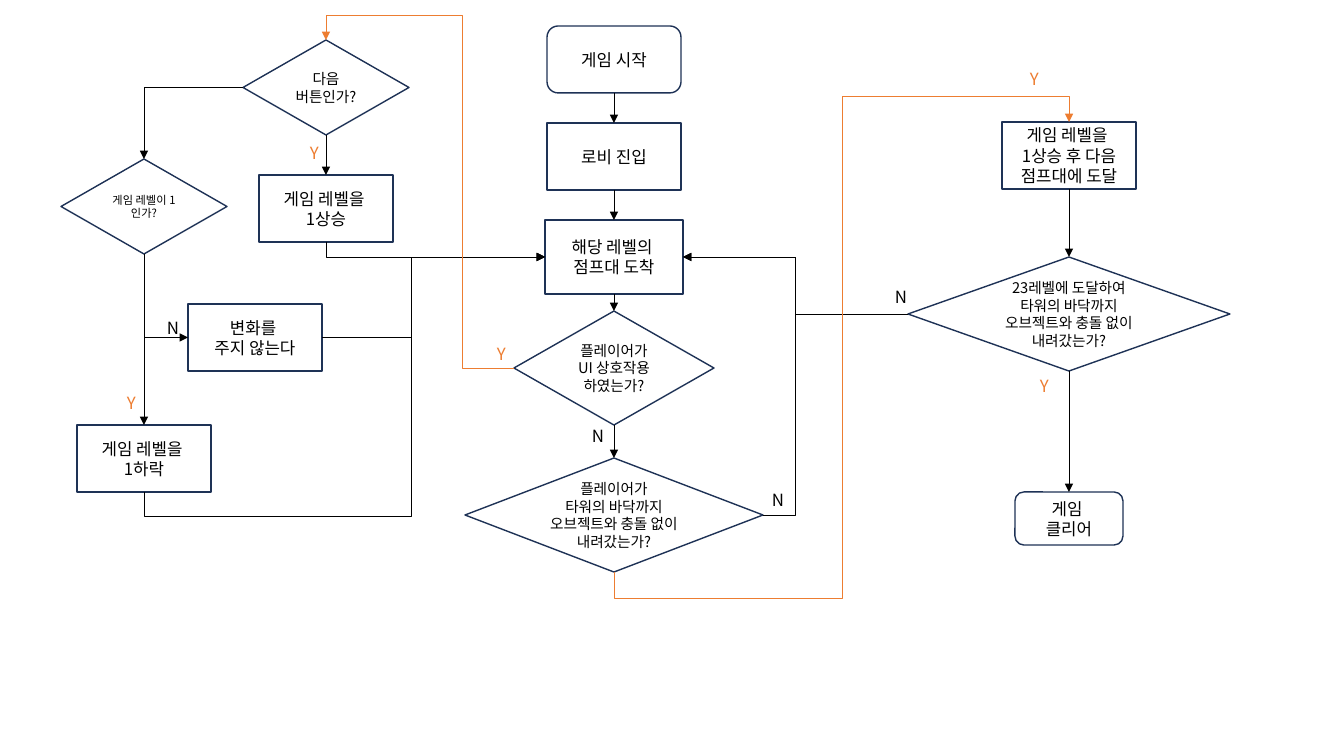
from copy import deepcopy
from dataclasses import dataclass

from lxml.etree import SubElement
from pptx import Presentation
from pptx.dml.color import RGBColor
from pptx.enum.shapes import MSO_CONNECTOR, MSO_SHAPE
from pptx.enum.text import MSO_ANCHOR, MSO_AUTO_SIZE, PP_ALIGN
from pptx.oxml.ns import qn
from pptx.util import Emu, Pt

PX = 914400 / 100.8
FONT = "Noto Sans CJK KR"
COLORS = {"fill": "FFFFFF", "outline": "1E3256", "ink": "000000", "yes": "ED7D31"}
NODE_FORMAT = {"word_wrap": True, "vertical_anchor": MSO_ANCHOR.MIDDLE}
LABEL_FORMAT = {"word_wrap": True, "auto_size": MSO_AUTO_SIZE.SHAPE_TO_FIT_TEXT}
LABEL_SIZE = (48, 30)
TOP, LEFT, BOTTOM, RIGHT = range(4)
STEP, DECISION, TERMINAL = MSO_SHAPE.RECTANGLE, MSO_SHAPE.DIAMOND, MSO_SHAPE.ROUNDED_RECTANGLE


@dataclass
class Node:
    key: str
    kind: MSO_SHAPE
    box: tuple[int, int, int, int]
    paragraphs: tuple[str, ...]
    size: float = 12


@dataclass
class Route:
    start: str
    start_site: int
    end: str
    end_site: int
    bends: tuple[int, ...] | None = None
    color: str = "ink"


@dataclass
class Label:
    text: str
    left: int
    top: int


NODES = [
    Node("start", TERMINAL, (547, 26, 134, 67), ("게임 시작",)),
    Node("lobby", STEP, (547, 123, 134, 67), ("로비 진입",)),
    Node("clear", TERMINAL, (1015, 492, 108, 53), ("게임 \n클리어",)),
    Node("arrive", STEP, (545, 220, 138, 74), ("해당 레벨의 \n점프대 도착",)),
    Node("interact", DECISION, (514, 311, 200, 114), ("플레이어가 UI 상호작용 하였는가?",), 10.5),
    Node("next", DECISION, (243, 40, 166, 95), ("다음\n버튼인가?",), 10.5),
    Node("first", DECISION, (61, 159, 166, 95), ("게임 레벨이 1인가?",), 8),
    Node("lower", STEP, (77, 425, 134, 67), ("게임 레벨을 ", "1하락")),
    Node("raise", STEP, (259, 175, 134, 67), ("게임 레벨을 ", "1상승")),
    Node("keep", STEP, (188, 304, 134, 67), ("변화를 ", "주지 않는다")),
    Node("descend", DECISION, (465, 458, 298, 114),
         ("플레이어가\n타워의 바닥까지\n오브젝트와 충돌 없이 내려갔는가?",), 10.5),
    Node("advance", STEP, (1002, 122, 134, 67), ("게임 레벨을 ", "1상승 후 다음 점프대에 도달")),
    Node("final", DECISION, (908, 257, 322, 114),
         ("23레벨에 도달하여 타워의 바닥까지 오브젝트와 충돌 없이 내려갔는가?",), 10.5),
]
ROUTES = [
    Route("start", BOTTOM, "lobby", TOP),
    Route("lobby", BOTTOM, "arrive", TOP),
    Route("arrive", BOTTOM, "interact", TOP),
    Route("interact", BOTTOM, "descend", TOP),
    Route("next", BOTTOM, "raise", TOP),
    Route("first", BOTTOM, "lower", TOP),
    Route("advance", BOTTOM, "final", TOP),
    Route("final", BOTTOM, "clear", TOP),
    Route("next", LEFT, "first", TOP, ()),
    Route("first", BOTTOM, "keep", LEFT, ()),
    Route("raise", BOTTOM, "arrive", LEFT, ()),
    Route("keep", RIGHT, "arrive", LEFT, (411,)),
    Route("lower", BOTTOM, "arrive", LEFT, (517, 411)),
    Route("final", LEFT, "arrive", RIGHT, (795,)),
    Route("descend", RIGHT, "arrive", RIGHT, (795,)),
    Route("interact", LEFT, "next", TOP, (462, 15), "yes"),
    Route("descend", BOTTOM, "advance", TOP, (598, 842, 97), "yes"),
]
LABELS = [
    Label("Y", 487, 339), Label("N", 582, 421), Label("N", 762, 485),
    Label("Y", 1020, 64), Label("N", 885, 282), Label("Y", 1030, 371),
    Label("Y", 300, 138), Label("Y", 117, 388), Label("N", 157, 313),
]


def px(*lengths: int) -> list[Emu]:
    return [Emu(round(n * PX)) for n in lengths]


def rgb(name: str) -> RGBColor:
    return RGBColor.from_string(COLORS[name])


def write(tf, paragraphs, size: float, color: str, align, formats: dict) -> None:
    for name, value in formats.items():
        setattr(tf, name, value)
    for i, text in enumerate(paragraphs):
        p = tf.add_paragraph() if i else tf.paragraphs[0]
        p.text = text
        p.alignment = align
        for r in p.runs:
            for name, value in {"size": Pt(size), "name": FONT}.items():
                setattr(r.font, name, value)
            r.font.color.rgb = rgb(color)
            SubElement(r.font._element, qn("a:ea"), typeface=FONT)
        for br in p._p.findall(qn("a:br")):
            br.append(deepcopy(p.runs[0].font._element))


def draw_node(slide, node: Node):
    s = slide.shapes.add_shape(node.kind, *px(*node.box))
    s.shadow.inherit = False
    s.fill.solid()
    s.fill.fore_color.rgb = rgb("fill")
    s.line.color.rgb = rgb("outline")
    s.line.width = Pt(1)
    write(s.text_frame, node.paragraphs, node.size, "ink", PP_ALIGN.CENTER, NODE_FORMAT)
    return s


def bend(s, vertical: bool, bends: tuple[int, ...]) -> None:
    start, end = (s.begin_x, s.begin_y), (s.end_x, s.end_y)
    dx, dy = end[0] - start[0], end[1] - start[1]
    xfrm = s._element.spPr.find(qn("a:xfrm"))
    if vertical:
        s.left, s.top = (Emu((start[0] + end[0] - abs(dy)) // 2),
                         Emu((start[1] + end[1] - abs(dx)) // 2))
        s.width, s.height = Emu(abs(dy)), Emu(abs(dx))
        xfrm.set("rot", "5400000")
        flips = {"flipH": dy < 0, "flipV": dx > 0}
    else:
        flips = {"flipH": dx < 0, "flipV": dy < 0}
    for name, on in flips.items():
        xfrm.set(name, str(int(on)))
    geom = s._element.spPr.find(qn("a:prstGeom"))
    geom.set("prst", f"bentConnector{len(bends) + 2}")
    guides = geom.find(qn("a:avLst"))
    if guides is None:
        guides = SubElement(geom, qn("a:avLst"))
    for i, place in enumerate(px(*bends)):
        axis = (i + vertical) % 2
        share = (place - start[axis]) / (end[axis] - start[axis])
        SubElement(guides, qn("a:gd"), name=f"adj{i + 1}" if len(bends) > 1 else "adj1",
                   fmla=f"val {round(share * 100000)}")


def draw_route(slide, route: Route, nodes: dict) -> None:
    kind = MSO_CONNECTOR.STRAIGHT if route.bends is None else MSO_CONNECTOR.ELBOW
    s = slide.shapes.add_connector(kind, *px(0, 0, 0, 0))
    s.begin_connect(nodes[route.start], route.start_site)
    s.end_connect(nodes[route.end], route.end_site)
    if route.bends is not None:
        bend(s, route.start_site in (TOP, BOTTOM), route.bends)
    s.line.color.rgb = rgb(route.color)
    s.line.width = Pt(0.5)
    SubElement(s.line._get_or_add_ln(), qn("a:tailEnd"), type="triangle")
    SubElement(s._element.spPr, qn("a:effectLst"))


def draw_label(slide, label: Label) -> None:
    s = slide.shapes.add_textbox(*px(label.left, label.top, *LABEL_SIZE))
    color = "yes" if label.text == "Y" else "ink"
    write(s.text_frame, (label.text,), 12, color, PP_ALIGN.LEFT, LABEL_FORMAT)


def main() -> None:
    prs = Presentation()
    prs.slide_width, prs.slide_height = px(1344, 756)
    slide = prs.slides.add_slide(prs.slide_layouts[6])
    nodes = {node.key: draw_node(slide, node) for node in NODES}
    for route in ROUTES:
        draw_route(slide, route, nodes)
    for label in LABELS:
        draw_label(slide, label)
    prs.save("out.pptx")


if __name__ == "__main__":
    main()
